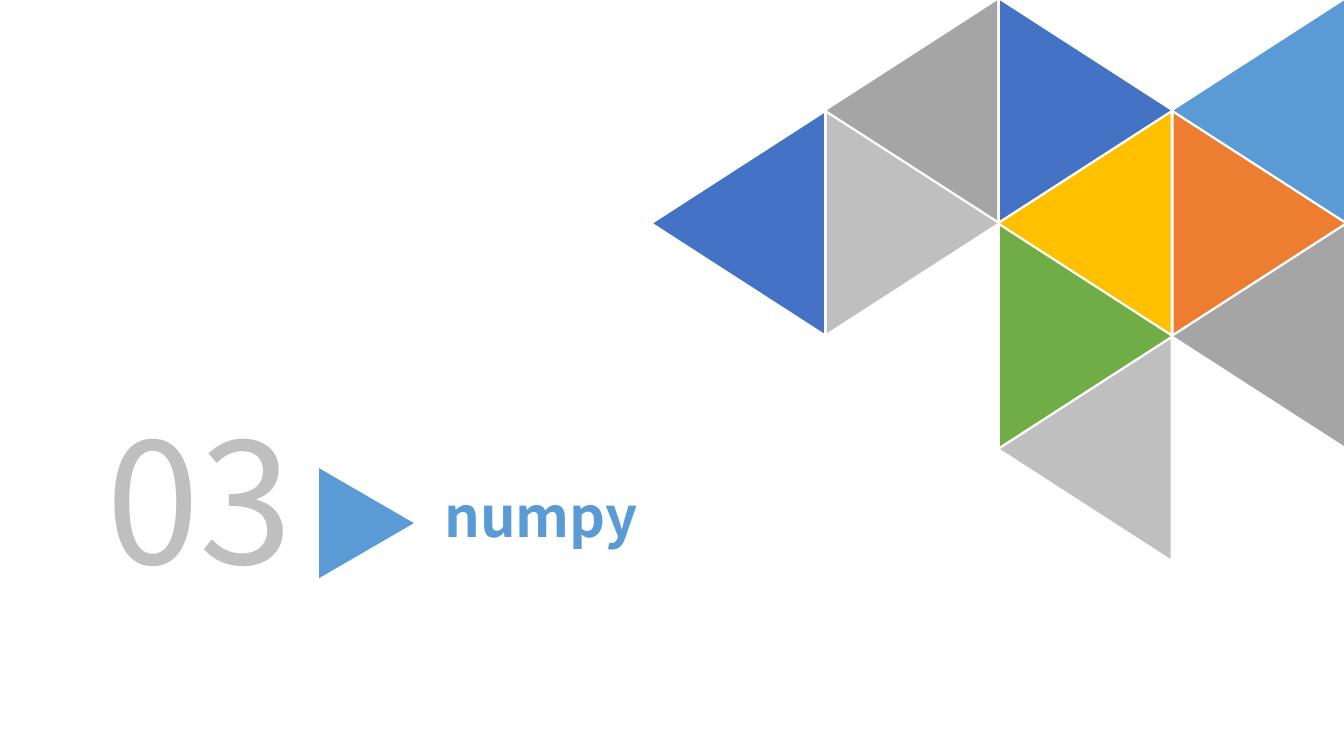
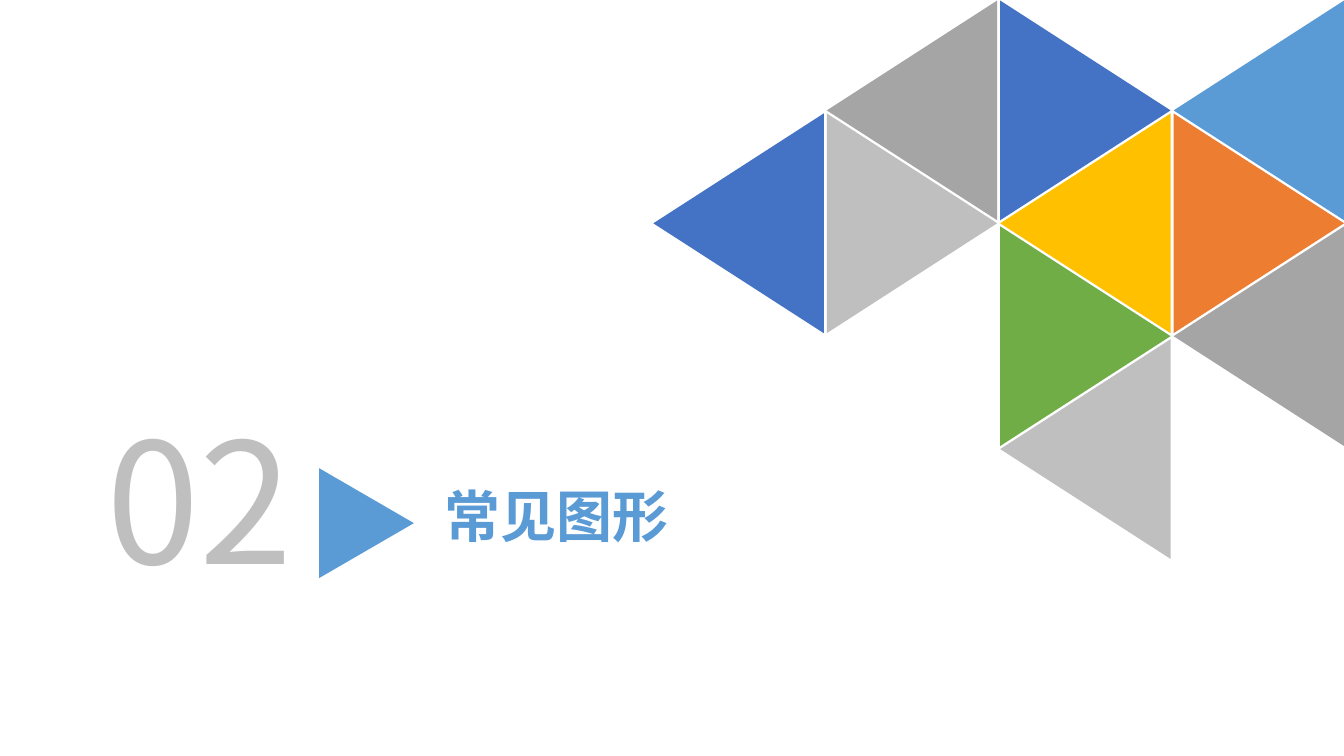
from pptx import Presentation
from pptx.dml.color import RGBColor
from pptx.enum.shapes import MSO_SHAPE
from pptx.enum.text import MSO_ANCHOR, PP_ALIGN
from pptx.oxml.ns import qn
from pptx.util import Inches, Pt
from lxml.etree import SubElement

SKY = RGBColor(0x5B, 0x9B, 0xD5)
BLUE = RGBColor(0x44, 0x72, 0xC4)
ORANGE = RGBColor(0xED, 0x7D, 0x31)
GOLD = RGBColor(0xFF, 0xC0, 0x00)
GREEN = RGBColor(0x70, 0xAD, 0x47)
GRAY = RGBColor(0xA5, 0xA5, 0xA5)
SILVER = RGBColor(0xBF, 0xBF, 0xBF)
FONT = "Noto Sans CJK SC"
LEFT, RIGHT = 270, 90

W, H = 13.33, 7.5
BASE, DEPTH = 2.18, 1.69
COL, ROW = 1.72, 1.12
X0, Y0 = W - BASE / 2 - DEPTH / 2 - 3 * COL, 0.25

MOSAIC = [
    (3, 0, LEFT, SKY), (3, 1, RIGHT, ORANGE), (3, 2, LEFT, GRAY),
    (2, 0, RIGHT, BLUE), (2, 1, LEFT, GOLD), (2, 2, RIGHT, GREEN),
    (1, 0, LEFT, GRAY), (2, 3, LEFT, SILVER), (1, 1, RIGHT, SILVER),
    (0, 1, LEFT, BLUE),
]
SECTIONS = [("03", "numpy"), ("02", "常见图形")]


def add_triangle(shapes, x, y, w, h, turn, color):
    sp = shapes.add_shape(MSO_SHAPE.ISOSCELES_TRIANGLE,
                          Inches(x), Inches(y), Inches(w), Inches(h))
    sp.rotation = turn
    sp.shadow.inherit = False
    sp.fill.solid()
    sp.fill.fore_color.rgb = color
    sp.line.fill.background()


def add_label(s, text, x, y, w, h, size, color, bold, align, anchor):
    tf = s.shapes.add_textbox(Inches(x), Inches(y), Inches(w), Inches(h)).text_frame
    tf.word_wrap = True
    tf.vertical_anchor = anchor
    tf.text = text
    p = tf.paragraphs[0]
    p.alignment = align
    p.line_spacing = 0.9
    r = p.runs[0]
    r.font.size = Pt(size)
    r.font.bold = bold
    r.font.color.rgb = color
    r.font.name = FONT
    SubElement(r.font._element, qn("a:ea"), typeface=FONT)


prs = Presentation()
prs.slide_width, prs.slide_height = Inches(W), Inches(H)

for number, title in SECTIONS:
    s = prs.slides.add_slide(prs.slide_layouts[6])
    mosaic = s.shapes.add_group_shape()
    for col, row, turn, color in MOSAIC:
        add_triangle(mosaic.shapes, X0 + col * COL, Y0 + row * ROW,
                     BASE, DEPTH, turn, color)
    add_label(s, title, 4.31, 4.77, 4.73, 0.77, 40, SKY, True,
              PP_ALIGN.LEFT, MSO_ANCHOR.MIDDLE)
    add_label(s, number, 0.48, 4.11, 3, 2.12, 120, SILVER, False,
              PP_ALIGN.CENTER, MSO_ANCHOR.TOP)
    add_triangle(s.shapes, 3.09, 4.72, 1.09, 0.94, RIGHT, SKY)

prs.save("out.pptx")
